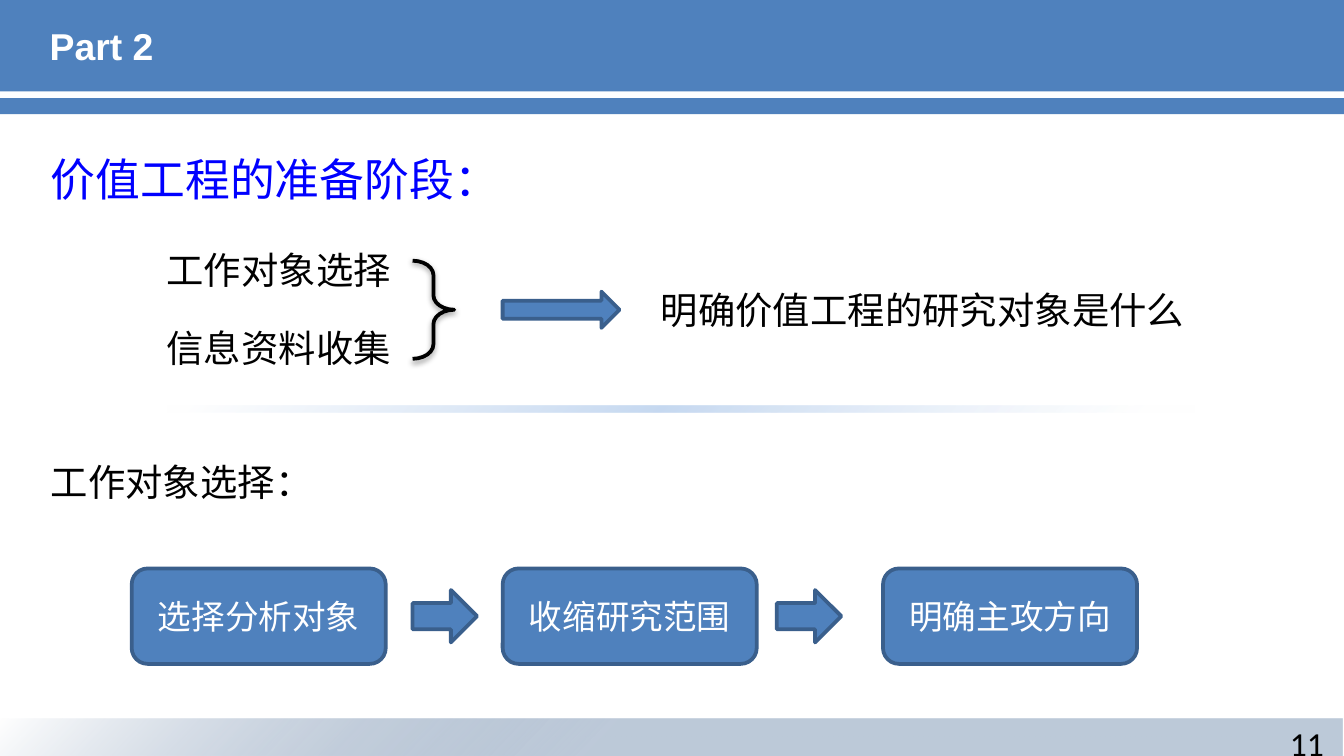
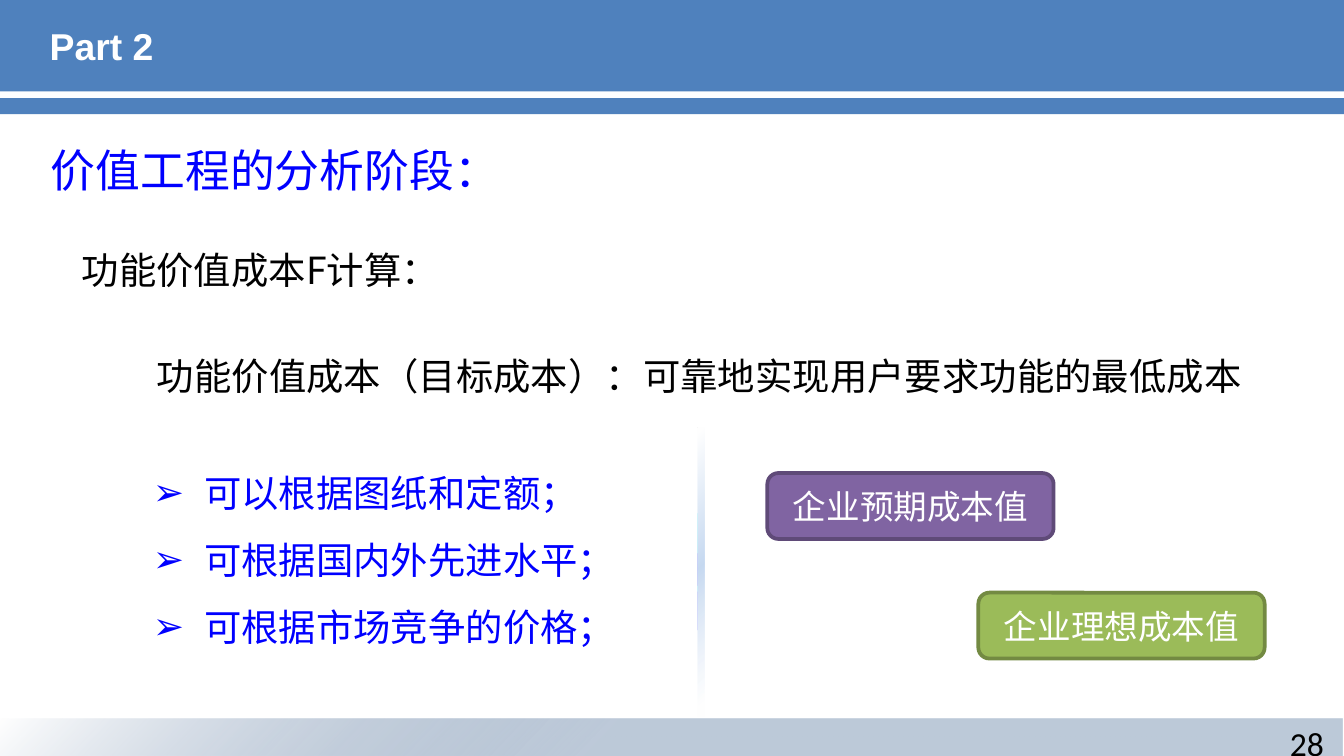
import pptx
import pptx.util
import pptx.dml.color
import pptx.enum.shapes
import pptx.enum.text
import pptx.oxml
import pptx.oxml.ns

Inches, Pt = pptx.util.Inches, pptx.util.Pt
SHAPE = pptx.enum.shapes.MSO_SHAPE
ALIGN = pptx.enum.text.PP_ALIGN
MIDDLE = pptx.enum.text.MSO_ANCHOR.MIDDLE
GROW = pptx.enum.text.MSO_AUTO_SIZE.SHAPE_TO_FIT_TEXT
CJK = "Noto Sans CJK SC"
BLUE, BLUE_EDGE, LINK, BLACK, WHITE = "4F81BD", "3A5F8C", "0000FF", "000000", "FFFFFF"
FOOTER_STOPS = [(55, "1F497D", 29), (100, WHITE, 69)]
DIVIDER_STOPS = [(5, WHITE, 69), (52, "C6D9F1", 100), (98, WHITE, 100)]

PREPARATION = {
    "page": "11",
    "heading": ("价值工程的准备阶段：", 1.08),
    "labels": [
        ("信息资料收集", (1.14, 2.37, 1.88, 0.44), ALIGN.LEFT),
        ("工作对象选择", (1.14, 1.79, 1.88, 0.44), ALIGN.LEFT),
        ("明确价值工程的研究对象是什么", (4.8, 2.09, 4.13, 0.44), ALIGN.CENTER),
        ("工作对象选择：", (0.28, 3.37, 2.17, 0.44), ALIGN.LEFT),
    ],
    "divider": ((1.25, 3.02, 7.64, 0.05), 0),
    "boxes": [
        ("选择分析对象", (0.98, 4.23, 1.89, 0.71), BLUE, BLUE_EDGE),
        ("收缩研究范围", (3.74, 4.23, 1.89, 0.71), BLUE, BLUE_EDGE),
        ("明确主攻方向", (6.57, 4.23, 1.89, 0.71), BLUE, BLUE_EDGE),
    ],
    "brace": (3.07, 1.94, 0.31, 0.73),
    "arrows": [(3.74, 2.17, 0.87, 0.27), (3.07, 4.39, 0.48, 0.39), (5.78, 4.39, 0.48, 0.39)],
}
ANALYSIS = {
    "page": "28",
    "heading": ("价值工程的分析阶段：", 1.01),
    "labels": [
        ("功能价值成本F计算：", (0.51, 1.79, 2.87, 0.44), ALIGN.LEFT),
        ("功能价值成本（目标成本）：可靠地实现用户要求功能的最低成本",
         (1.07, 2.58, 8.34, 0.44), ALIGN.LEFT),
    ],
    "divider": ((4.14, 4.23, 2.15, 0.05), 270),
    "boxes": [
        ("企业预期成本值", (5.71, 3.52, 2.13, 0.49), "8064A2", "5F4A78"),
        ("企业理想成本值", (7.28, 4.41, 2.13, 0.49), "9BBB59", "738A42"),
    ],
    "bases": ["可以根据图纸和定额；", "可根据国内外先进水平；", "可根据市场竞争的价格；"],
}


def rgb(colour):
    """Turn a hex string into a colour."""
    return pptx.dml.color.RGBColor.from_string(colour)


def xml(tag, body="", **attributes):
    """Build one DrawingML element."""
    element = pptx.oxml.parse_xml(f"<a:{tag} {pptx.oxml.ns.nsdecls('a')}>{body}</a:{tag}>")
    for key, value in attributes.items():
        element.set(key, str(value))
    return element


def place(part, at):
    """Set position and size in inches."""
    part.left, part.top, part.width, part.height = map(Inches, at)


def write(frame, lines, size, colour, font=CJK, align=ALIGN.LEFT, bold=False):
    """Fill a text frame, one paragraph a line."""
    frame.text = "\n".join(lines)
    for paragraph in frame.paragraphs:
        paragraph.alignment = align
        paragraph.font.size = Pt(size)
        paragraph.font.bold = bold
        paragraph.font.color.rgb = rgb(colour)
        paragraph.font.name = font
        defaults = paragraph._p.pPr.find(pptx.oxml.ns.qn("a:defRPr"))
        defaults.append(xml("ea", typeface=font))


def add_label(slide, lines, at, size=20, colour=BLACK, wrap=False, grow=True, **style):
    """Add a text box."""
    frame = slide.shapes.add_textbox(*map(Inches, at)).text_frame
    write(frame, lines, size, colour, **style)
    frame.word_wrap = wrap
    if grow:
        frame.auto_size = GROW
    return frame


def add_block(slide, kind, at, fill=None, edge=None):
    """Add a flat preset shape."""
    block = slide.shapes.add_shape(kind, *map(Inches, at))
    block.shadow.inherit = False
    if fill:
        block.fill.solid()
        block.fill.fore_color.rgb = rgb(fill)
    else:
        block.fill.background()
    if edge:
        block.line.color.rgb = rgb(edge)
        block.line.width = Pt(2)
    else:
        block.line.fill.background()
    return block


def add_glow(slide, at, stops):
    """Add a bar with a gradient spreading from its lower right corner."""
    bar = add_block(slide, SHAPE.RECTANGLE, at)
    marks = "".join(
        f'<a:gs pos="{pos * 1000}"><a:srgbClr val="{colour}">'
        f'<a:alpha val="{alpha * 1000}"/></a:srgbClr></a:gs>'
        for pos, colour, alpha in stops)
    gradient = xml("gradFill", f'<a:gsLst>{marks}</a:gsLst><a:path path="circle">'
                               '<a:fillToRect l="100000" t="100000"/></a:path>')
    properties = bar._element.spPr
    properties.replace(properties.find(pptx.oxml.ns.qn("a:noFill")), gradient)
    return bar


def add_brace(slide, at):
    """Add the shadowed brace that joins two labels."""
    brace = add_block(slide, SHAPE.RIGHT_BRACE, at, edge=BLACK)
    brace.adjustments[0] = 0.348
    effects = brace._element.spPr.find(pptx.oxml.ns.qn("a:effectLst"))
    tint = f'<a:srgbClr val="{BLACK}"><a:alpha val="38000"/></a:srgbClr>'
    effects.append(xml("outerShdw", tint, blurRad=int(Pt(3.1)), dist=int(Pt(1.6)),
                       dir=90 * 60000))


def add_bases(slide, bases):
    """Add the list with arrow bullets."""
    frame = add_label(slide, bases, (1.04, 3.28, 3.67, 1.62), colour=LINK)
    for paragraph in frame.paragraphs:
        paragraph.line_spacing = 1.5
        properties = paragraph._p.pPr
        properties.set("marL", str(int(Inches(0.38))))
        properties.set("indent", str(-int(Inches(0.38))))
        defaults = properties.find(pptx.oxml.ns.qn("a:defRPr"))
        defaults.addprevious(xml("buFont", typeface="Arial"))
        defaults.addprevious(xml("buChar", char="➢"))


def add_frame(deck, page):
    """Start a slide with bands, title and page number."""
    slide = deck.slides.add_slide(deck.slide_layouts[5])
    title = slide.shapes.title
    add_block(slide, SHAPE.RECTANGLE, (0, -0.01, 10, 0.69), BLUE)
    slide.shapes._spTree.append(title._element)
    place(title, (0.27, 0.02, 9.45, 0.64))
    write(title.text_frame, ["Part 2"], 20, WHITE, font="Arial", bold=True)
    title.text_frame.vertical_anchor = MIDDLE
    add_glow(slide, (0, 5.35, 9.99, 0.27), FOOTER_STOPS)
    add_block(slide, SHAPE.RECTANGLE, (-0.01, 0.73, 10.01, 0.12), BLUE)
    add_label(slide, [page], (7.62, 5.33, 2.33, 0.3), 18, wrap=True, grow=False,
              font="Calibri", align=ALIGN.RIGHT)
    return slide


def add_stage(deck, stage):
    """Build one slide from its content."""
    slide = add_frame(deck, stage["page"])
    heading, top = stage["heading"]
    add_label(slide, [heading], (0.28, top, 5.75, 0.5), 24, LINK, wrap=True)
    for label, at, align in stage["labels"]:
        add_label(slide, [label], at, align=align)
    if "bases" in stage:
        add_bases(slide, stage["bases"])
    if "brace" in stage:
        add_brace(slide, stage["brace"])
    at, turn = stage["divider"]
    add_glow(slide, at, DIVIDER_STOPS).rotation = turn
    for label, at, fill, edge in stage["boxes"]:
        frame = add_block(slide, SHAPE.ROUNDED_RECTANGLE, at, fill, edge).text_frame
        write(frame, [label], 18, WHITE, align=ALIGN.CENTER)
        frame.vertical_anchor = MIDDLE
    for at in stage.get("arrows", []):
        add_block(slide, SHAPE.RIGHT_ARROW, at, BLUE, BLUE_EDGE)


def main():
    """Build and save the deck."""
    deck = pptx.Presentation()
    deck.slide_width = Inches(10)
    deck.slide_height = deck.slide_width * 9 // 16
    for stage in (PREPARATION, ANALYSIS):
        add_stage(deck, stage)
    deck.save("out.pptx")


if __name__ == "__main__":
    main()
